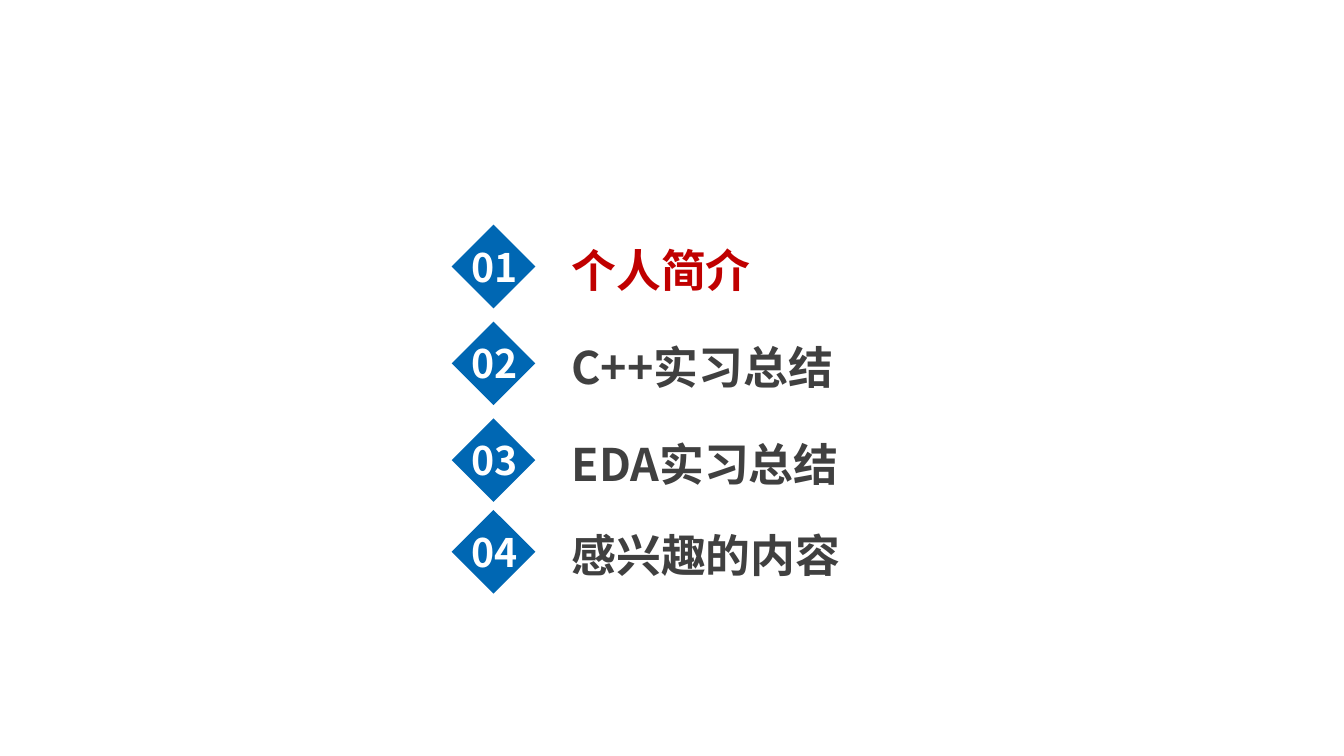
"""Build an agenda slide with four numbered diamonds and the first topic highlighted."""
from lxml import etree
from pptx import Presentation
from pptx.dml.color import RGBColor
from pptx.enum import shapes, text
from pptx.oxml.ns import qn
from pptx.util import Inches, Pt

TOPICS = [
    ("个人简介", 2.23),
    ("C++实习总结", 3.19),
    ("EDA实习总结", 4.15),
    ("感兴趣的内容", 5.06),
]
CURRENT = 0
THEME = {
    "font": "Noto Sans CJK SC",
    "diamond": RGBColor.from_string("0067B3"),
    "number": RGBColor.from_string("FFFFFF"),
    "topic": RGBColor.from_string("404040"),
    "current": RGBColor.from_string("C00000"),
    "number_size": Pt(28),
    "topic_size": Pt(32),
}
DIAMOND_LEFT, DIAMOND_SIZE = 4.48, 0.83
NUMBER_SIZE = (0.85, 0.57)
TOPIC_LEFT, TOPIC_SIZE = 5.57, (3.77, 0.64)
TEXT_DROP = 0.13


def add_diamond(s, top):
    sp = s.shapes.add_shape(
        shapes.MSO_SHAPE.DIAMOND,
        *map(Inches, (DIAMOND_LEFT, top, DIAMOND_SIZE, DIAMOND_SIZE)),
    )
    sp.shadow.inherit = False
    sp.fill.solid()
    sp.fill.fore_color.rgb = THEME["diamond"]
    sp.line.fill.background()


def add_label(s, words, box, size, color, align):
    tf = s.shapes.add_textbox(*map(Inches, box)).text_frame
    tf.word_wrap = True
    tf.auto_size = text.MSO_AUTO_SIZE.SHAPE_TO_FIT_TEXT
    p = tf.paragraphs[0]
    p.alignment = align
    r = p.add_run()
    r.text = words
    for name, value in {"name": THEME["font"], "size": size, "bold": True}.items():
        setattr(r.font, name, value)
    r.font.color.rgb = color
    ea = etree.Element(qn("a:ea"), typeface=THEME["font"])
    r.font._element.find(qn("a:latin")).addnext(ea)


def main():
    prs = Presentation()
    prs.slide_width, prs.slide_height = Inches(13.33), Inches(7.5)
    s = prs.slides.add_slide(prs.slide_layouts[6])
    for i, (topic, top) in enumerate(TOPICS):
        text_top = top + TEXT_DROP
        add_diamond(s, top)
        add_label(s, f"{i + 1:02d}", (DIAMOND_LEFT, text_top, *NUMBER_SIZE),
                  THEME["number_size"], THEME["number"], text.PP_ALIGN.CENTER)
        add_label(s, topic, (TOPIC_LEFT, text_top, *TOPIC_SIZE), THEME["topic_size"],
                  THEME["current" if i == CURRENT else "topic"], text.PP_ALIGN.LEFT)
    prs.save("out.pptx")


if __name__ == "__main__":
    main()
